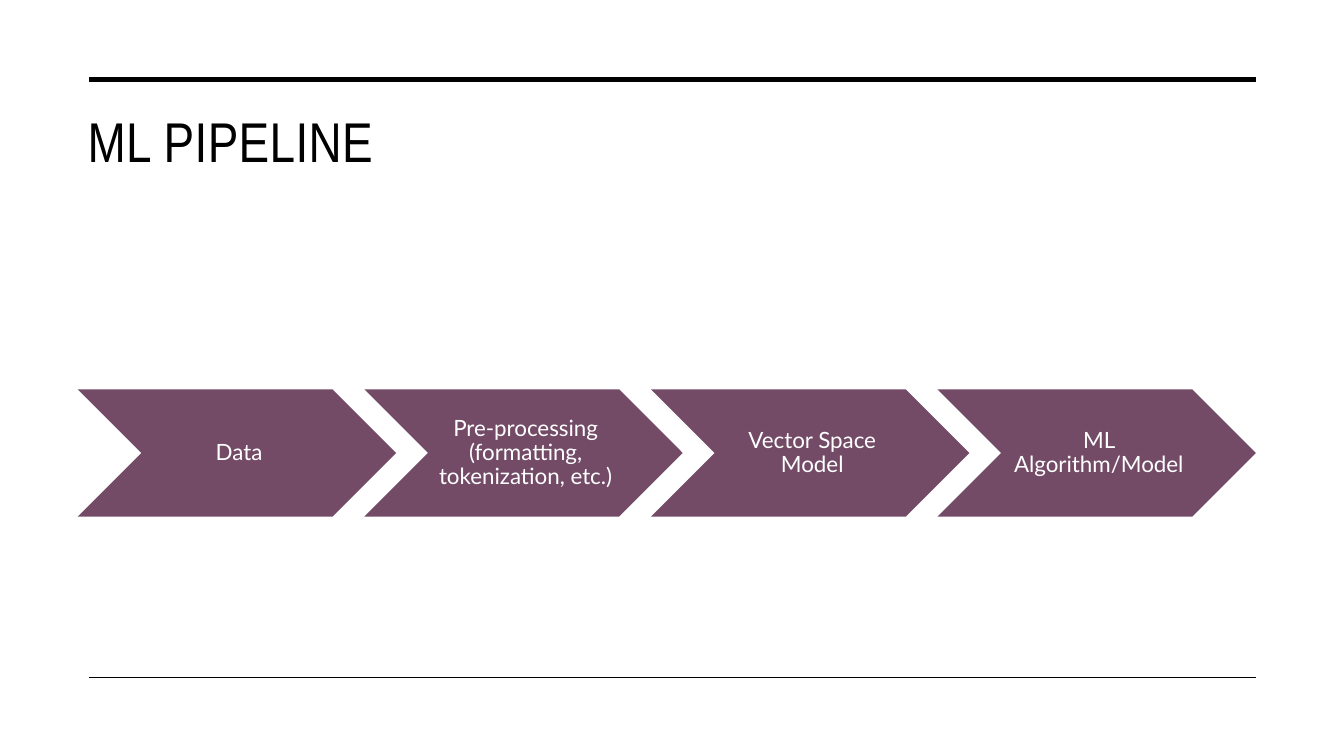
import pptx
import pptx.util
import pptx.dml.color
import pptx.enum.shapes
import pptx.enum.text
import pptx.oxml.ns
import lxml.etree

Cm, Pt = pptx.util.Cm, pptx.util.Pt
BLACK, WHITE, PLUM = "000000", "FFFFFF", "734B67"
STEPS = [
    "Data",
    "Pre-processing (formatting, tokenization, etc.)",
    "Vector Space Model",
    "ML Algorithm/Model",
]


def rgb(color):
    return pptx.dml.color.RGBColor.from_string(color)


def style_run(r, font, size, color):
    r.font.name = font
    r.font.size = Pt(size)
    r.font.color.rgb = rgb(color)


def add_rule(s, left, top, width, weight):
    line = s.shapes.add_connector(
        pptx.enum.shapes.MSO_CONNECTOR.STRAIGHT,
        Cm(left), Cm(top), Cm(left + width), Cm(top))
    line.line.color.rgb = rgb(BLACK)
    line.line.width = Pt(weight)
    lxml.etree.SubElement(line._element.spPr, pptx.oxml.ns.qn("a:effectLst"))


def add_title(s, text, left, top, width, height):
    sp = s.shapes.add_textbox(Cm(left), Cm(top), Cm(width), Cm(height))
    tf = sp.text_frame
    tf.word_wrap = True
    tf.text = text
    r = tf.paragraphs[0].runs[0]
    style_run(r, "Arial Narrow", 40, BLACK)
    r.font._element.set("spc", "30")


def add_step(s, text, left, top, width, height):
    sp = s.shapes.add_shape(
        pptx.enum.shapes.MSO_SHAPE.CHEVRON,
        Cm(left), Cm(top), Cm(width), Cm(height))
    sp.shadow.inherit = False
    sp.fill.solid()
    sp.fill.fore_color.rgb = rgb(PLUM)
    sp.line.fill.background()
    tf = sp.text_frame
    tf.word_wrap = True
    tf.vertical_anchor = pptx.enum.text.MSO_ANCHOR.MIDDLE
    tf.margin_left = Cm(0.17)
    tf.margin_right = tf.margin_top = tf.margin_bottom = Cm(0.06)
    tf.text = text
    p = tf.paragraphs[0]
    p.alignment = pptx.enum.text.PP_ALIGN.CENTER
    p.line_spacing = 0.9
    style_run(p.runs[0], "Lato", 16, WHITE)


def add_pipeline(s, steps, left, top, width):
    """Fill the width with chevrons, each a tenth of its width from the next."""
    step_width = width / (1 + 0.9 * (len(steps) - 1))
    for i, text in enumerate(steps):
        add_step(s, text, left + i * 0.9 * step_width, top,
                 step_width, 0.4 * step_width)


def add_pipeline_slide(prs):
    s = prs.slides.add_slide(prs.slide_layouts[6])
    add_rule(s, 2.24, 2.0, 29.41, 3.5)
    add_rule(s, 2.24, 17.07, 29.41, 1)
    add_title(s, "ML PIPELINE", 1.96, 2.57, 29.69, 3.81)
    add_pipeline(s, STEPS, 1.96, 9.81, 29.69)


def main():
    prs = pptx.Presentation()
    prs.slide_width, prs.slide_height = Cm(33.87), Cm(19.05)
    add_pipeline_slide(prs)
    prs.save("out.pptx")


if __name__ == "__main__":
    main()
